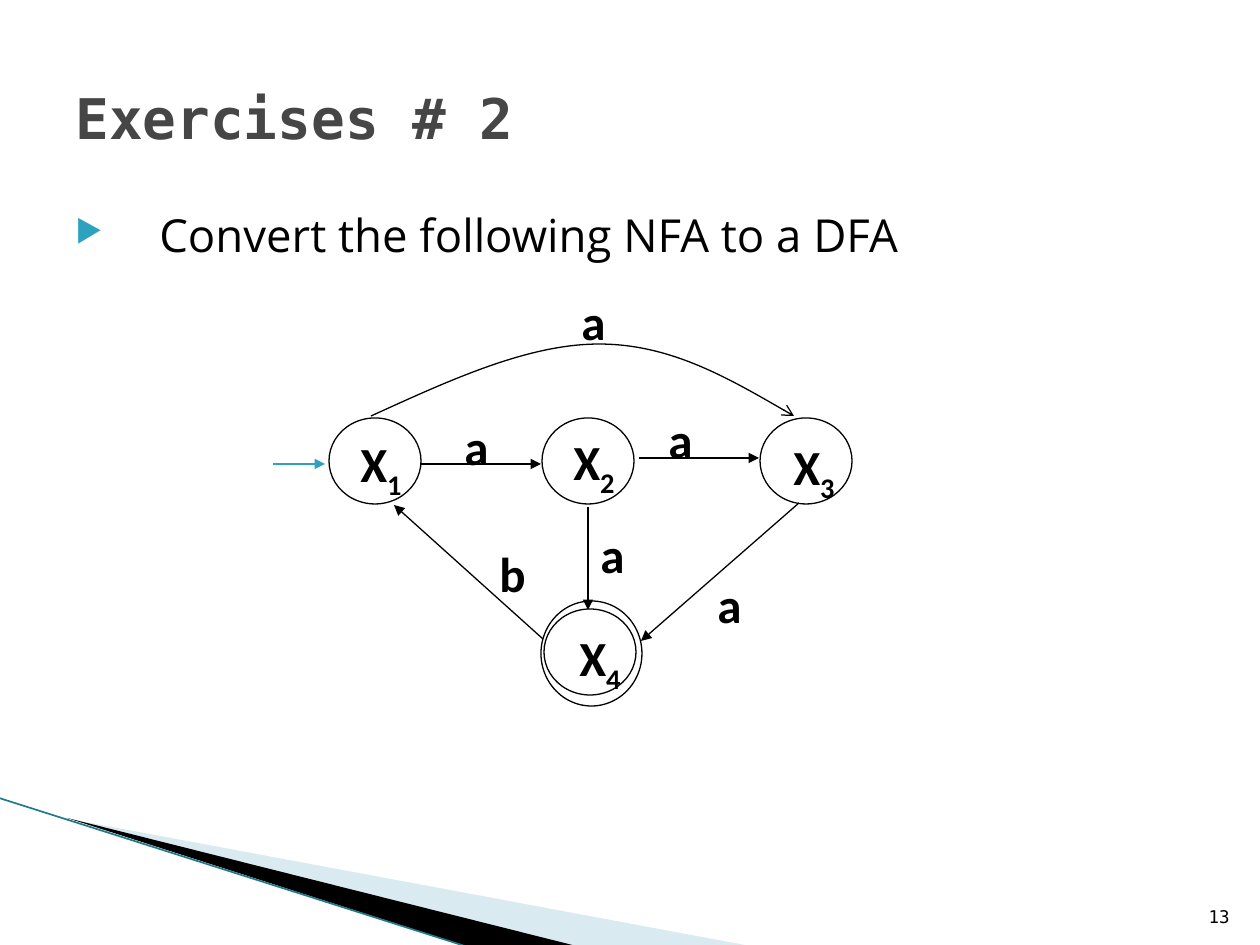
"""Build the NFA to DFA exercise slide."""
from pptx import Presentation
from pptx.dml.color import RGBColor
from pptx.enum.shapes import MSO_CONNECTOR as Connector, MSO_SHAPE as Shape
from pptx.enum.text import MSO_ANCHOR as Anchor, PP_ALIGN as Align
from pptx.oxml import parse_xml
from pptx.oxml.ns import nsdecls, qn
from pptx.util import Emu, Pt

SCALE = 914400 / 126
BLACK, TEAL = "000000", "2DA2BF"
MONO = {"name": "DejaVu Sans Mono"}
TITLE_FONT = {**MONO, "size": Pt(32), "bold": True}
NUMBER_FONT = {**MONO, "size": Pt(10)}
BODY_FONT = {"name": "Open Sans", "size": Pt(26)}
LABEL_FONT = {"name": "Calibri", "size": Pt(28), "bold": True}
LABEL_FORMAT = {"alignment": Align.RIGHT, "line_spacing": 1.07, "space_after": Pt(8)}
BODY_FORMAT = {"line_spacing": 1.5, "space_before": Pt(4)}
LABEL_SIZE, STATE_SIZE = (110, 96), (92, 86)

WEDGES = [
    ([(69, 819), (750, 946), (575, 946)], "A0CBDC", 40),
    ([(67, 818), (576, 946), (469, 947)], BLACK, 100),
]
EDGE_LINE = ((-1, 798), (468, 947))
STATES = [
    ("1", (329, 418), (304, 423)),
    ("2", (542, 418), (517, 421)),
    ("3", (760, 418), (737, 426)),
    ("4", (544, 609), (523, 617)),
]
FINAL_RING = (541, 601, 101, 105)
ARROWS = [
    ((273, 464), (325, 464), TEAL),
    ((588, 507), (588, 610), BLACK),
    ((421, 464), (541, 464), BLACK),
    ((639, 458), (759, 458), BLACK),
    ((799, 503), (641, 641), BLACK),
    ((543, 639), (394, 505), BLACK),
]
ARC = [(371, 416), (450, 380), (528, 344), (599, 344), (669, 344), (732, 380), (794, 416)]
EDGE_LABELS = [
    ("a", (508, 281)), ("a", (391, 406)), ("a", (595, 399)),
    ("a", (644, 564)), ("b", (428, 533)), ("a", (527, 514)),
]


def px(*lengths):
    return [Emu(round(length * SCALE)) for length in lengths]


def color(value):
    return RGBColor.from_string(value)


def apply(target, values):
    for name, value in values.items():
        setattr(target, name, value)


def element(tag, **attributes):
    text = " ".join(f'{name}="{value}"' for name, value in attributes.items())
    return parse_xml(f"<a:{tag} {nsdecls('a')} {text}/>")


def style_line(shape, value, width=0.75, head=None):
    shape.line.color.rgb = color(value)
    shape.line.width = Pt(width)
    if head:
        shape.line._get_or_add_ln().append(element("tailEnd", type=head))


def add_text(shapes, box, runs, font, layout=None, anchor=Anchor.TOP, value=BLACK):
    frame = shapes.add_textbox(*px(*box)).text_frame
    apply(frame, {"word_wrap": True, "vertical_anchor": anchor})
    paragraph = frame.paragraphs[0]
    apply(paragraph, layout or {})
    for text, baseline in runs:
        run = paragraph.add_run()
        run.text = text
        apply(run.font, font)
        run.font.color.rgb = color(value)
        if baseline:
            run.font._element.set("baseline", str(baseline * 1000))
    return paragraph


def add_line(shapes, start, end, value, width=0.75, head=None):
    line = shapes.add_connector(Connector.STRAIGHT, *px(*start, *end))
    style_line(line, value, width, head)
    line._element.spPr.append(element("effectLst"))


def add_circle(shapes, box):
    circle = shapes.add_shape(Shape.OVAL, *px(*box))
    circle.shadow.inherit = False
    circle.fill.background()
    style_line(circle, BLACK)


def add_outline(shapes, points, close):
    start, *rest = [px(*point) for point in points]
    builder = shapes.build_freeform(*start)
    builder.add_line_segments(rest, close=close)
    outline = builder.convert_to_shape()
    outline.shadow.inherit = False
    return outline


def add_arc(shapes, points):
    arc = add_outline(shapes, points, False)
    arc.fill.background()
    style_line(arc, BLACK, head="arrow")
    segments = list(arc._element.iter(qn("a:lnTo")))
    for first in range(0, len(segments), 3):
        curve = element("cubicBezTo")
        segments[first].addprevious(curve)
        for segment in segments[first:first + 3]:
            curve.append(segment[0])
            segment.getparent().remove(segment)


presentation = Presentation()
apply(presentation, dict(zip(("slide_width", "slide_height"), px(1260, 945))))
slide = presentation.slides.add_slide(presentation.slide_layouts[6])

for points, value, opacity in WEDGES:
    wedge = add_outline(slide.shapes, points, True)
    wedge.fill.solid()
    wedge.fill.fore_color.rgb = color(value)
    wedge.line.fill.background()
    if opacity < 100:
        fill_color = wedge._element.spPr.find(qn("a:solidFill"))[0]
        fill_color.append(element("alpha", val=opacity * 1000))
add_line(slide.shapes, *EDGE_LINE, "1F7A8C", 0.95)

add_text(slide.shapes, (1192, 883, 50, 50), [("13", 0)], NUMBER_FONT,
         {"alignment": Align.RIGHT}, Anchor.BOTTOM)
add_text(slide.shapes, (63, 38, 1134, 158), [("Exercises # 2", 0)], TITLE_FONT,
         anchor=Anchor.MIDDLE, value="464646")
body = add_text(slide.shapes, (63, 174, 1134, 624),
                [("Convert the following NFA to a DFA", 0)], BODY_FONT, BODY_FORMAT)
properties = body._element.get_or_add_pPr()
indent = px(84)[0]
properties.set("marL", str(indent))
properties.set("indent", str(-indent))
bullet_color = element("buClr")
bullet_color.append(element("srgbClr", val=TEAL))
for part in (bullet_color, element("buSzPct", val=68000), element("buChar", char="▶")):
    properties.append(part)

diagram = slide.shapes.add_group_shape().shapes
for start, end, value in ARROWS:
    add_line(diagram, start, end, value, head="triangle")
for index, circle_at, label_at in STATES:
    add_circle(diagram, circle_at + STATE_SIZE)
    add_text(diagram, label_at + LABEL_SIZE, [("X", 0), (index, -25)], LABEL_FONT, LABEL_FORMAT)
add_circle(diagram, FINAL_RING)
add_arc(diagram, ARC)
for text, label_at in EDGE_LABELS:
    add_text(diagram, label_at + LABEL_SIZE, [(text, 0)], LABEL_FONT, LABEL_FORMAT)

presentation.save("out.pptx")
